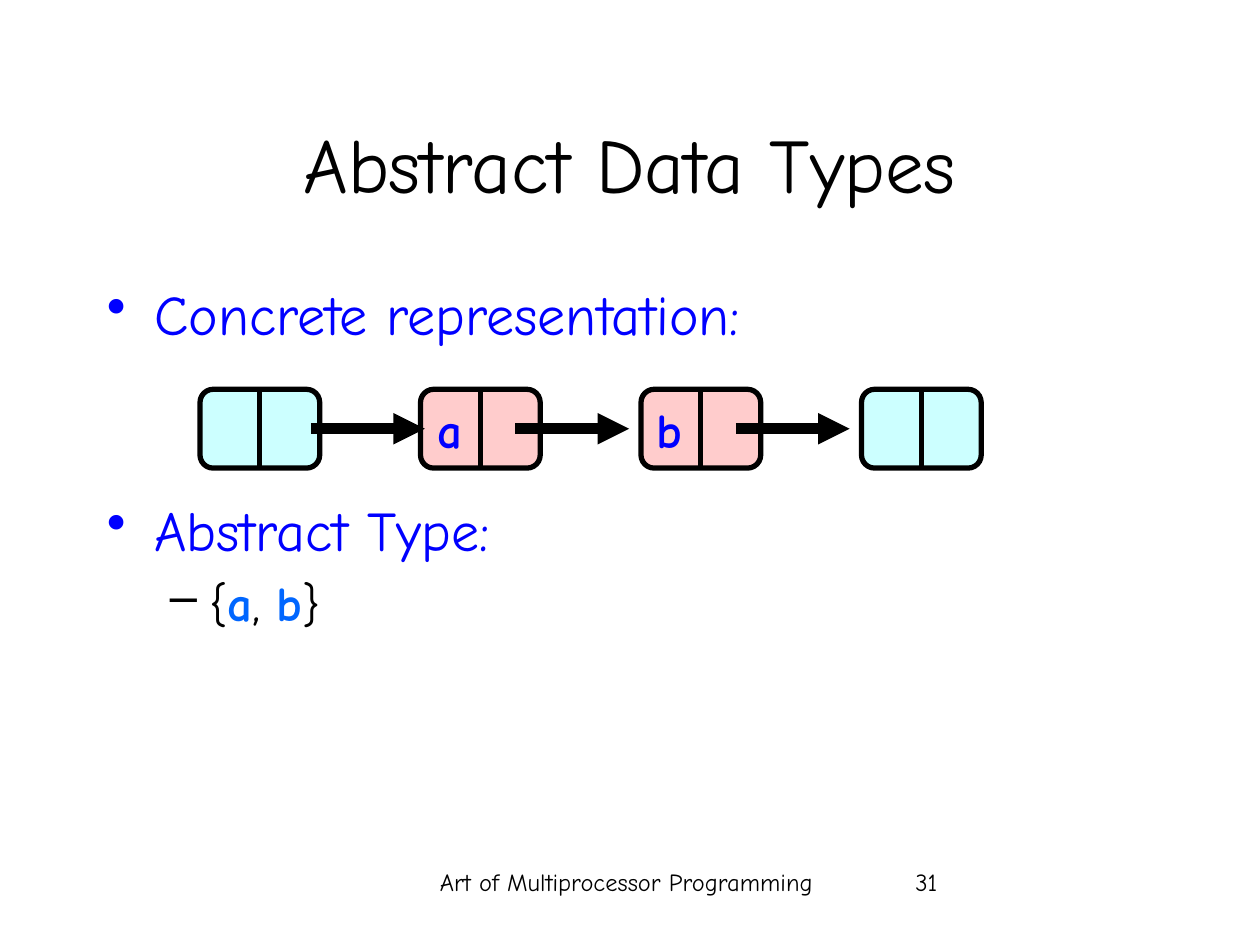
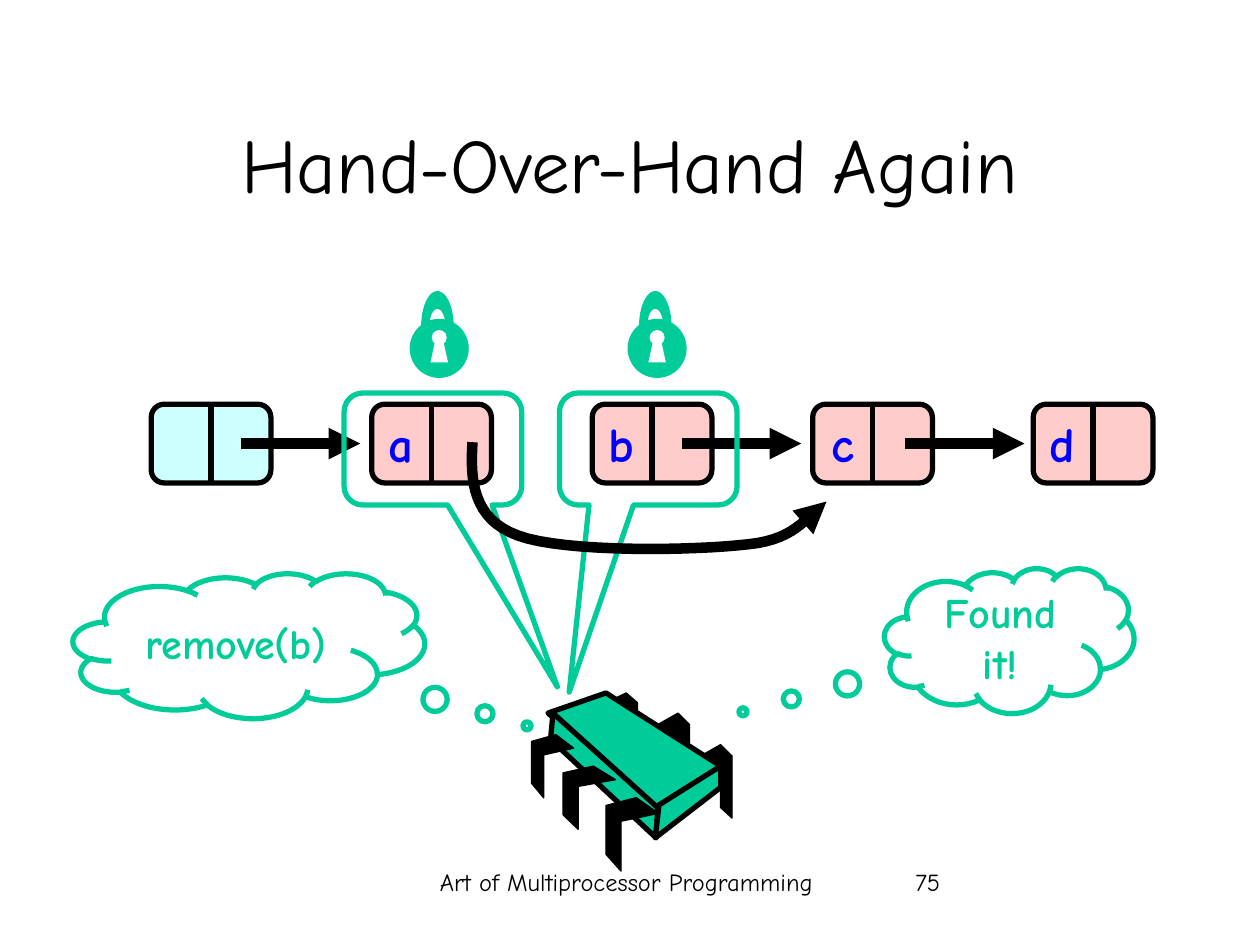
from math import cos, pi, sin

from lxml import etree
from pptx import Presentation, util as u
from pptx.dml.color import RGBColor
from pptx.enum import shapes, text
from pptx.oxml.ns import qn

C = {"black": "000000", "white": "FFFFFF", "blue": "0000FF", "sky": "0066FF",
     "cyan": "CCFFFF", "pink": "FFCCCC", "green": "00CC99"}
FONT = "Comic Neue"
SHAPE, LINE = shapes.MSO_SHAPE, shapes.MSO_CONNECTOR.STRAIGHT
LEFT, CENTER, RIGHT = text.PP_ALIGN.LEFT, text.PP_ALIGN.CENTER, text.PP_ALIGN.RIGHT


def write(p, runs, align, size, color, bold=False):
    """Fill a paragraph with (text, colour, bold) runs, or one plain string."""
    p.alignment = align
    if isinstance(runs, str):
        runs = [(runs, color, bold)]
    for words, run_color, run_bold in runs:
        r = p.add_run()
        r.text = words
        fmt = {"name": FONT, "size": u.Pt(size), "bold": run_bold}
        for key, value in fmt.items():
            setattr(r.font, key, value)
        r.font.color.rgb = RGBColor.from_string(C[run_color])


def style(sp, fill=None, line=None, width=3, arrow=False):
    """Set fill, line and arrowhead, and switch the shadow off."""
    if hasattr(sp, "fill"):
        if fill:
            sp.fill.solid()
            sp.fill.fore_color.rgb = RGBColor.from_string(C[fill])
        else:
            sp.fill.background()
    if line:
        sp.line.color.rgb = RGBColor.from_string(C[line])
        sp.line.width = u.Pt(width)
    else:
        sp.line.fill.background()
    spPr = sp._element.spPr
    if arrow:
        etree.SubElement(spPr.find(qn("a:ln")), qn("a:tailEnd"), type="triangle")
    etree.SubElement(spPr, qn("a:effectLst"))


prs = Presentation()
prs.slide_width, prs.slide_height = u.Pt(720), u.Pt(540)

# Shared parts of both slides: title, footer, page number, linked list
NODE_W, NODE_H, PITCH = 68.4, 45, 126
pages = [
    {"title": "Abstract Data Types", "number": "31", "left": 114.3, "top": 222.5,
     "nodes": ["", "a", "b", ""], "arrows": [177.8, 294.5, 420.5], "length": 65},
    {"title": "Hand-Over-Hand Again", "number": "75", "left": 86.4, "top": 231,
     "nodes": ["", "a", "b", "c", "d"], "arrows": [137.5, 389.5, 517], "length": 68.4},
]
slides = []
for page in pages:
    s = prs.slides.add_slide(prs.slide_layouts[5])
    slides.append(s)

    # Title
    title = s.shapes.title
    place = {"left": 54, "top": 48, "width": 612, "height": 90}
    for key, value in place.items():
        setattr(title, key, u.Pt(value))
    title.text_frame.vertical_anchor = text.MSO_ANCHOR.MIDDLE
    write(title.text_frame.paragraphs[0], page["title"], CENTER, 44, "black")

    # Footer and page number
    for words, x, w, align in [("Art of Multiprocessor Programming", 223, 270, CENTER),
                               (page["number"], 516, 150, LEFT)]:
        tf = s.shapes.add_textbox(u.Pt(x), u.Pt(492), u.Pt(w), u.Pt(36)).text_frame
        tf.word_wrap = True
        write(tf.paragraphs[0], words, align, 14, "black")

    # List nodes: box, divider, label
    top = page["top"]
    for i, label in enumerate(page["nodes"]):
        x = page["left"] + i * PITCH
        node = s.shapes.add_shape(SHAPE.ROUNDED_RECTANGLE, u.Pt(x), u.Pt(top),
                                  u.Pt(NODE_W), u.Pt(NODE_H))
        style(node, "pink" if label else "cyan", "black")
        divider = s.shapes.add_connector(LINE, 0, 0, 0, 0)
        divider.begin_connect(node, 0)
        divider.end_connect(node, 2)
        style(divider, line="black")
        if label:
            tf = s.shapes.add_textbox(u.Pt(x + 1), u.Pt(top + 2), u.Pt(22.8), u.Pt(41)).text_frame
            tf.word_wrap = True
            tf.margin_left = tf.margin_right = 0
            write(tf.paragraphs[0], label, RIGHT, 28, "blue", True)

    # Arrows between nodes
    y = u.Pt(top + NODE_H / 2)
    for x in page["arrows"]:
        arrow = s.shapes.add_connector(LINE, u.Pt(x), y, u.Pt(x + page["length"]), y)
        style(arrow, line="black", width=6, arrow=True)

# Slide 1: bulleted text
s = slides[0]
tf = s.shapes.add_textbox(u.Pt(54), u.Pt(156), u.Pt(612), u.Pt(324)).text_frame
tf.word_wrap = True
abstract_set = [("{", "black", False), ("a", "sky", True), (", ", "black", False),
                ("b", "sky", True), ("}", "black", False)]
items = [("Concrete representation:", "•", 27, 27, 32, 0),
         ("Abstract Type:", "•", 27, 27, 32, 85),
         (abstract_set, "–", 58.5, 22.5, 28, 5.6)]
for i, (words, bullet, margin, hang, size, before) in enumerate(items):
    p = tf.add_paragraph() if i else tf.paragraphs[0]
    pPr = p._p.get_or_add_pPr()
    pPr.set("marL", str(u.Pt(margin)))
    pPr.set("indent", str(-u.Pt(hang)))
    etree.SubElement(pPr, qn("a:buChar"), char=bullet)
    if before:
        p.space_before = u.Pt(before)
    write(p, words, LEFT, size, "blue")

# Slide 2: padlocks above nodes a and b
s = slides[1]
outlines = []  # (points, fill, line, line width, closed)
arc = [pi * k / 24 for k in range(25)]
for cx in (251, 375.5):
    for y, d, fill in [(182.2, 33.8, "green"), (188.6, 8.6, "white")]:
        sp = s.shapes.add_shape(SHAPE.OVAL, u.Pt(cx - d / 2), u.Pt(y), u.Pt(d), u.Pt(d))
        style(sp, fill)
    keyhole = [(cx - 5, 207), (cx - 2.2, 194.4), (cx + 2.2, 194.4), (cx + 5, 207)]
    outer = [(cx - 1 - 9.3 * cos(t), 186.5 - 20.2 * sin(t)) for t in arc]
    inner = [(cx - 1 + 4.6 * cos(t), 186.5 - 10 * sin(t)) for t in arc]
    outlines += [(keyhole, "white", None, 0, True),
                 (outer + inner, "green", None, 0, True)]

# Processor chip: far legs, body, near legs
far_leg = [(0, 6.5), (11.5, 0), (18, 6.5), (18, 42), (11.5, 36), (11.5, 12), (0, 18)]
near_leg = [(17.3, 0), (30, 9), (8.6, 13.5), (8.6, 42), (0, 32.4), (0, 4.5)]
legs = [(far_leg, 400.3, 425.5, 1, 1), (far_leg, 376, 407.5, 1, 1),
        (far_leg, 346.3, 396, 1, 0.86), (near_leg, 346.3, 455.8, 1, 1),
        (near_leg, 321.8, 437.8, 1, 0.86), (near_leg, 303.8, 419.8, 0.8, 0.86)]
legs = [([(x + sx * a, y + sy * b) for a, b in leg], "black", "black", 0.75, True)
        for leg, x, y, sx, sy in legs]
faces = [[(346.3, 396), (411.8, 437.8), (375.1, 463), (313.2, 407.5)],
         [(316, 407.5), (375.8, 461.5), (375, 478.8), (314.6, 422.6)],
         [(411.8, 437.8), (411.8, 450), (374.4, 478.8), (376.6, 460)]]
body = [(face, "green", "black", 3, True) for face in faces]
outlines += legs[:3] + body + legs[3:]

# Curved pointer from a to c, sampled from three Bezier segments
knots = [(270, 252.7), (268.6, 274.3), (270, 296.6), (295.9, 306), (322.6, 316),
         (398.2, 314.6), (427.7, 311), (457.2, 308.2), (463, 291.6), (472.3, 286.6)]
curve = [knots[0]]
for i in (0, 3, 6):
    for k in range(1, 17):
        t = k / 16
        weights = ((1 - t) ** 3, 3 * t * (1 - t) ** 2, 3 * t * t * (1 - t), t ** 3)
        curve.append([sum(w * q[axis] for w, q in zip(weights, knots[i:i + 4]))
                      for axis in (0, 1)])
outlines.append((curve, None, "black", 6, False))

# Callouts and thought clouds
CALLOUT, CLOUD = SHAPE.ROUNDED_RECTANGULAR_CALLOUT, SHAPE.CLOUD_CALLOUT
balloons = [(CALLOUT, 319.7, 224.6, 101.5, 64, (-0.445, 2.171, 0.167), ""),
            (CALLOUT, 196.6, 224.6, 101.5, 64, (0.701, 2.124, 0.167), ""),
            (CLOUD, 41.8, 327.6, 200.9, 82.8, (0.791, 0.553), "remove(b)"),
            (CLOUD, 505.4, 324.7, 142.6, 82.8, (-1.067, 0.491), "Found it!")]
for kind, x, y, w, h, adjustments, words in balloons:
    sp = s.shapes.add_shape(kind, u.Pt(x), u.Pt(y), u.Pt(w), u.Pt(h))
    for i, value in enumerate(adjustments):
        sp.adjustments[i] = value
    style(sp, line="green")
    if words:
        tf = sp.text_frame
        tf.word_wrap = True
        tf.vertical_anchor = text.MSO_ANCHOR.MIDDLE
        write(tf.paragraphs[0], words, CENTER, 24, "green", True)

# Draw all outlines
for points, fill, line, width, closed in outlines:
    points = [(u.Pt(x), u.Pt(y)) for x, y in points]
    builder = s.shapes.build_freeform(*points[0])
    builder.add_line_segments(points[1:], close=closed)
    style(builder.convert_to_shape(), fill, line, width, arrow=not closed)

prs.save("out.pptx")
